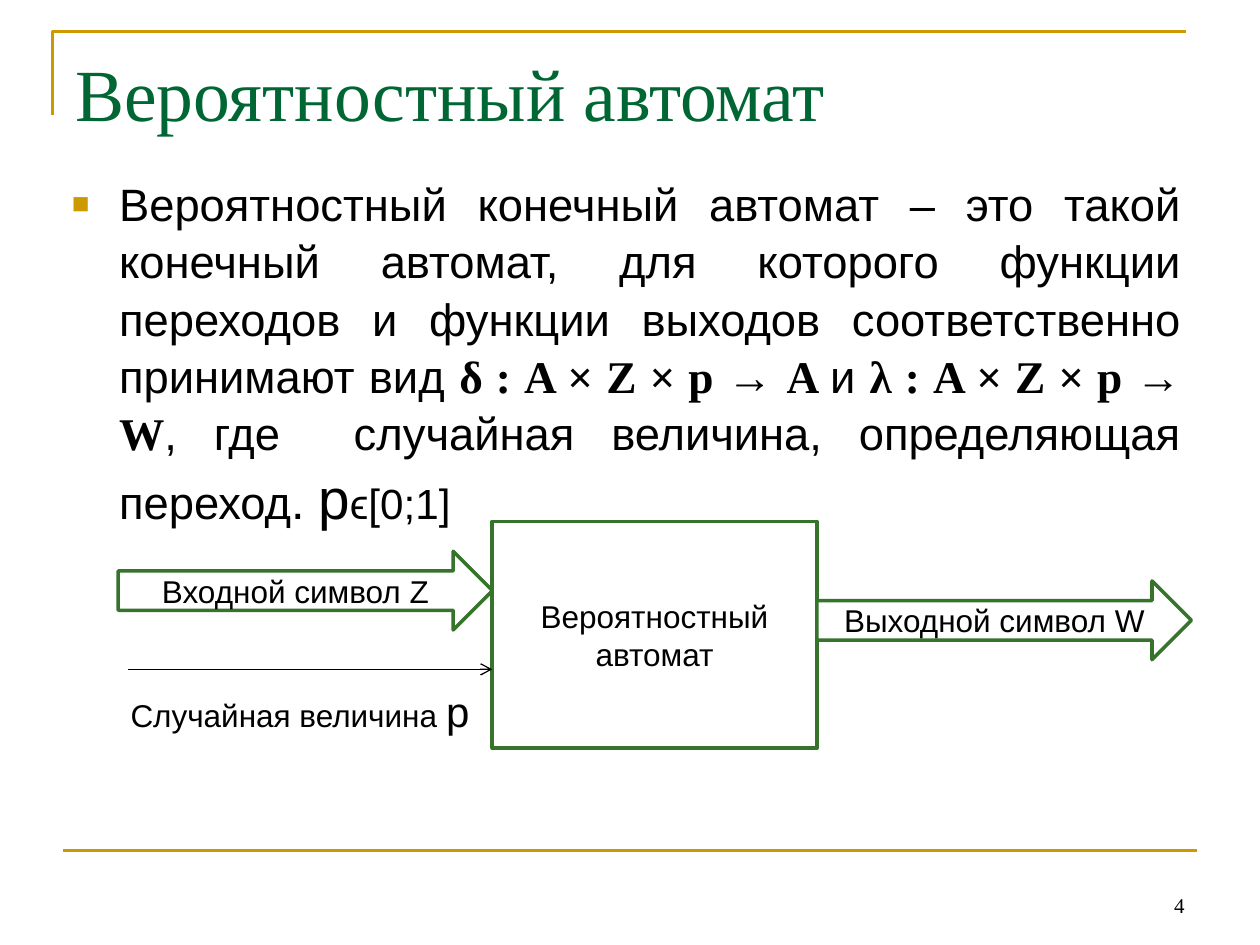
import pptx
import pptx.util
import pptx.dml.color
import pptx.enum.shapes
import pptx.enum.text
import pptx.oxml
import pptx.oxml.ns

Pt = pptx.util.Pt
ALIGN = pptx.enum.text.PP_ALIGN
ANCHOR = pptx.enum.text.MSO_ANCHOR
SHAPE = pptx.enum.shapes.MSO_SHAPE
COLORS = {"gold": "CC9900", "title": "006633", "green": "35742A",
          "black": "000000", "white": "FFFFFF"}
SANS, SERIF = "Arial", "Times New Roman"


def rgb(name):
    """Return the named colour."""
    return pptx.dml.color.RGBColor.from_string(COLORS[name])


def add_xml(parent, tag, content="", attrs=""):
    """Append a drawing element to parent."""
    ns = pptx.oxml.ns.nsdecls("a")
    parent.append(pptx.oxml.parse_xml(f"<a:{tag} {ns} {attrs}>{content}</a:{tag}>"))


def set_line(sp, color, width):
    """Give a shape or connector a solid line."""
    sp.line.color.rgb = rgb(color)
    sp.line.width = Pt(width)


def write(tf, paragraphs, color="black", align=ALIGN.LEFT, anchor=ANCHOR.TOP):
    """Fill a text frame with paragraphs of (text, font format) runs."""
    for name, value in {"word_wrap": True, "vertical_anchor": anchor}.items():
        setattr(tf, name, value)
    for i, runs in enumerate(paragraphs):
        p = tf.add_paragraph() if i else tf.paragraphs[0]
        p.alignment = align
        for text, fmt in runs:
            r = p.add_run()
            r.text = text
            r.font.color.rgb = rgb(color)
            for name, value in fmt.items():
                setattr(r.font, name, value)


def font(size, name=SANS, bold=False):
    """Return the format values of a run."""
    return {"size": Pt(size), "name": name, "bold": bold}


def add_text(slide, box, paragraphs, **layout):
    """Add a text box and return its text frame."""
    tf = slide.shapes.add_textbox(*map(Pt, box)).text_frame
    write(tf, paragraphs, **layout)
    return tf


def add_block(slide, kind, box, lines):
    """Add an outlined diagram block with centred text."""
    sp = slide.shapes.add_shape(kind, *map(Pt, box))
    sp.shadow.inherit = False
    sp.fill.solid()
    sp.fill.fore_color.rgb = rgb("white")
    set_line(sp, "green", 2)
    write(sp.text_frame, [[(line, font(18))] for line in lines],
          align=ALIGN.CENTER, anchor=ANCHOR.MIDDLE)


def add_line(slide, points, color, width, arrow=False):
    """Add a straight line, with an arrowhead at its end if asked."""
    cn = slide.shapes.add_connector(
        pptx.enum.shapes.MSO_CONNECTOR.STRAIGHT, *map(Pt, points))
    set_line(cn, color, width)
    if arrow:
        add_xml(cn.line._get_or_add_ln(), "tailEnd", attrs='type="arrow"')
    add_xml(cn._element.spPr, "effectLst")


def add_corner(slide):
    """Add the open corner line around the title."""
    fb = slide.shapes.build_freeform(Pt(30), Pt(66), scale=1.0)
    fb.add_line_segments([(Pt(30), Pt(18)), (Pt(678), Pt(18))], close=False)
    sp = fb.convert_to_shape()
    sp.shadow.inherit = False
    sp.fill.background()
    set_line(sp, "gold", 1.5)


def add_definition(slide):
    """Add the bulleted definition."""
    plain, math = font(25.9), font(25.9, SERIF, True)
    arrow = font(25.9, SANS, True)
    runs = [
        ("Вероятностный конечный автомат – это такой конечный автомат, для которого "
         "функции переходов и функции выходов соответственно принимают вид ", plain),
        ("δ : A × Z × p ", math), ("→ ", arrow), ("A ", math), ("и ", plain),
        ("λ : A × Z × p ", math), ("→", arrow), (" W", math),
        (", где  случайная величина, определяющая переход", plain),
        (". ", font(27.8)), ("p", font(32.4)), ("ϵ[0;1]", font(24.1)),
    ]
    tf = add_text(slide, (34, 95.8, 648, 186), [runs], align=ALIGN.JUSTIFY)
    p = tf.paragraphs[0]
    p.line_spacing = 1.05
    pPr = p._p.get_or_add_pPr()
    for name, value in {"marL": Pt(27), "indent": -Pt(27)}.items():
        pPr.set(name, str(int(value)))
    add_xml(pPr, "buClr", f'<a:srgbClr val="{COLORS["gold"]}"/>')
    add_xml(pPr, "buSzPct", attrs='val="65000"')
    add_xml(pPr, "buFont", attrs=f'typeface="{SANS}"')
    add_xml(pPr, "buChar", attrs='char="■"')


def add_diagram(slide):
    """Add the automaton with its inputs and output."""
    add_block(slide, SHAPE.RECTANGLE, (281.3, 298, 185.5, 129.6),
              ["Вероятностный", "автомат"])
    for x, y, label in [(67.5, 315, "Входной символ Z"),
                        (466.8, 332, "Выходной символ W")]:
        add_block(slide, SHAPE.RIGHT_ARROW, (x, y, 214, 45), [label])
    add_line(slide, (73.4, 382.5, 281.3, 382.5), "black", 0.75, arrow=True)
    add_text(slide, (67.5, 388, 212, 36),
             [[("Случайная величина ", font(18)), ("p", font(24))]])


def main():
    """Build the slide and save it."""
    prs = pptx.Presentation()
    prs.slide_width, prs.slide_height = Pt(720), Pt(540)
    slide = prs.slides.add_slide(prs.slide_layouts[6])
    add_corner(slide)
    add_line(slide, (36, 486, 684, 486), "gold", 1.5)
    add_text(slide, (36, 21.6, 648, 62.6),
             [[("Вероятностный автомат", font(42, SERIF))]],
             color="title", anchor=ANCHOR.MIDDLE)
    add_definition(slide)
    add_text(slide, (516, 492, 168, 36), [[("4", font(12, SERIF))]],
             align=ALIGN.RIGHT, anchor=ANCHOR.BOTTOM)
    add_diagram(slide)
    prs.save("out.pptx")


if __name__ == "__main__":
    main()
